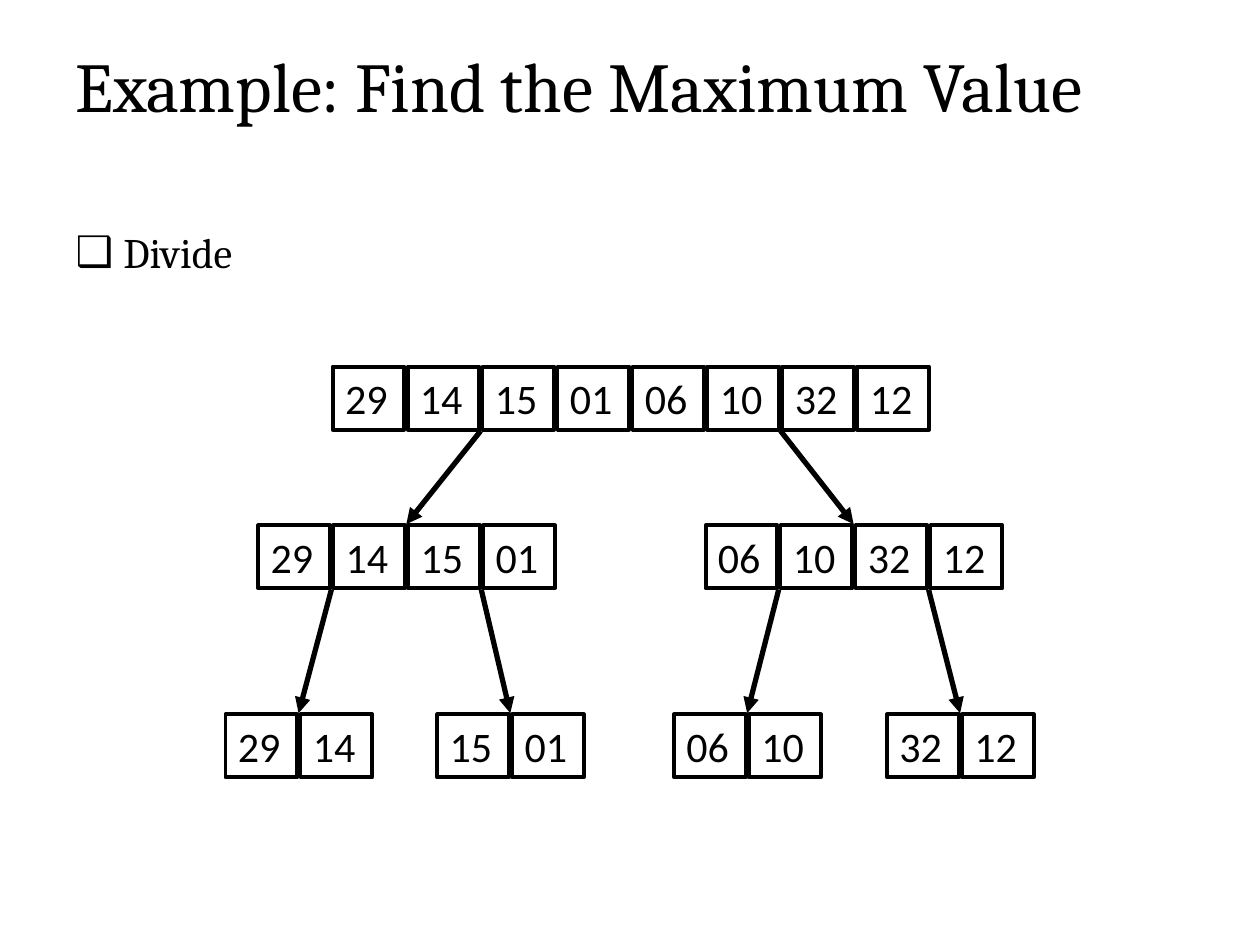
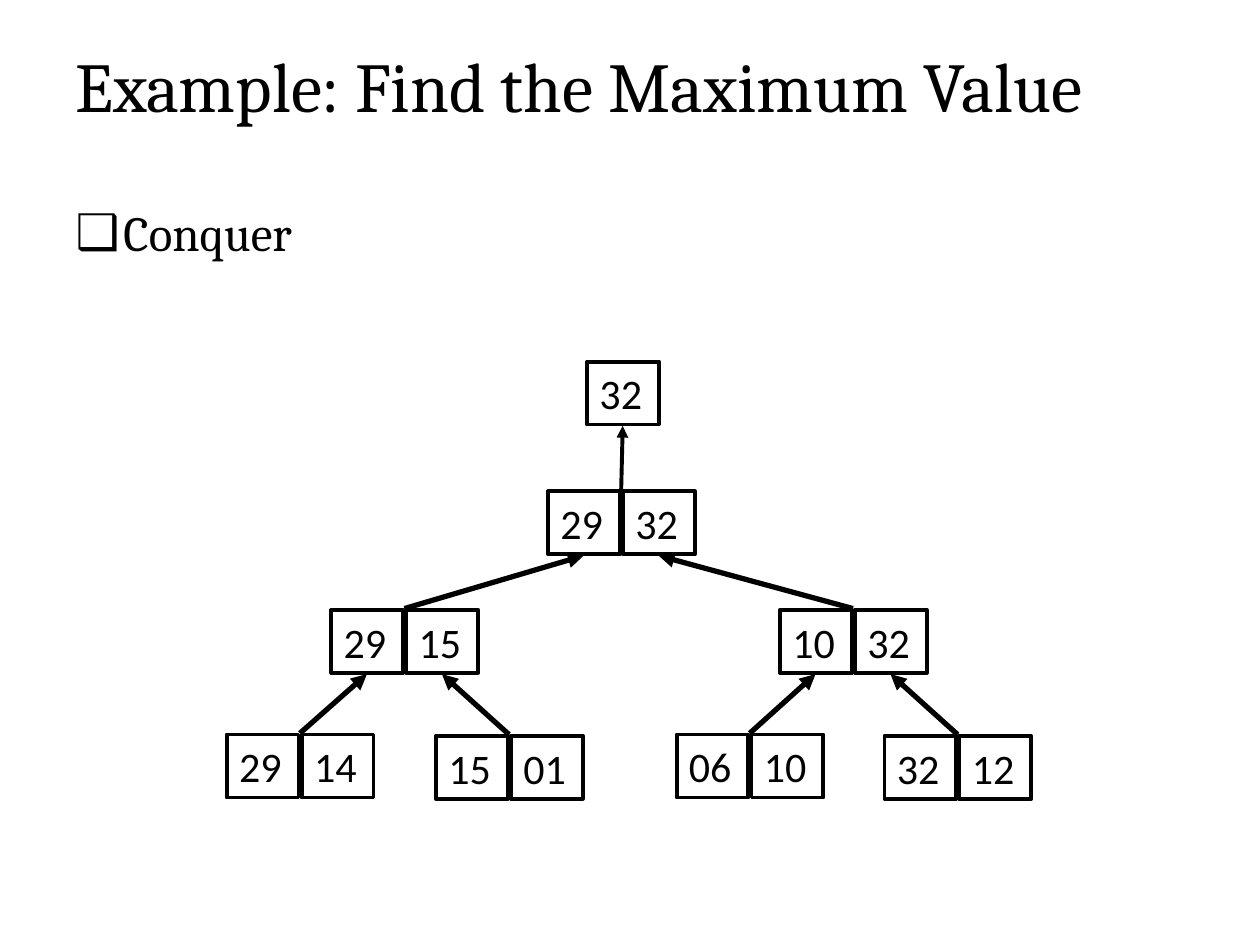
from lxml.etree import SubElement
from pptx import Presentation
from pptx.dml.color import RGBColor
from pptx.enum.shapes import MSO_CONNECTOR as Line, MSO_SHAPE as Shape
from pptx.enum.text import MSO_ANCHOR as Anchor, MSO_AUTO_SIZE as Fit, PP_ALIGN as Align
from pptx.oxml.ns import qn
from pptx.util import Inches, Pt

TITLE = "Example: Find the Maximum Value"
BLACK = "000000"
SERIF, SANS = "Cambria", "Calibri"
CELL, STEP, HIGH = 0.57, 0.595, 0.5

SLIDES = [
    {
        "topic": "Divide", "size": 24, "body": (0.5, 1.75, 8.95, 4.5), "up": False,
        "rows": [
            (2.64, 2.91, "29 14 15 01 06 10 32 12"),
            (2.05, 4.17, "29 14 15 01"),
            (5.6, 4.17, "06 10 32 12"),
            (1.79, 5.67, "29 14"),
            (3.47, 5.67, "15 01"),
            (5.35, 5.67, "06 10"),
            (7.04, 5.67, "32 12"),
        ],
        "links": [(0, 2, 1, 3), (0, 6, 2, 3), (1, 1, 3, 3),
                  (1, 3, 4, 3), (2, 1, 5, 3), (2, 3, 6, 3)],
    },
    {
        "topic": "Conquer", "size": 28, "body": (0.5, 1.56, 9, 5.14), "up": True,
        "rows": [
            (4.66, 2.87, "32"),
            (4.35, 3.9, "29 32"),
            (2.63, 4.84, "29 15"),
            (6.19, 4.84, "10 32"),
            (1.8, 5.83, "29 14"),
            (3.46, 5.84, "15 01"),
            (5.37, 5.83, "06 10"),
            (7.02, 5.84, "32 12"),
        ],
        "links": [(0, 0.5, 1, 2.25), (1, 0.5, 2, 3), (1, 1.5, 3, 3),
                  (2, 0.5, 4, 3), (2, 1.5, 5, 3), (3, 0.5, 6, 3), (3, 1.5, 7, 3)],
    },
]


def color(code):
    return RGBColor.from_string(code)


def place(shape, box):
    shape.left, shape.top, shape.width, shape.height = map(Inches, box)


def write(shape, text, size, font=SERIF, anchor=Anchor.MIDDLE, wrap=True,
          fit=Fit.NONE, bullet=None):
    frame = shape.text_frame
    frame.text = text
    frame.word_wrap, frame.auto_size = wrap, fit
    frame.vertical_anchor = anchor
    para = frame.paragraphs[0]
    para.alignment = Align.LEFT
    para.space_before = Pt(0)
    if bullet:
        props = para._p.get_or_add_pPr()
        props.set("marL", str(Inches(0.38)))
        props.set("indent", str(Inches(-0.38)))
        SubElement(props, qn("a:buChar"), char=bullet)
    para.font.name, para.font.size = font, Pt(size)
    para.font.color.rgb = color(BLACK)


def draw_row(slide, left, top, text):
    for i, num in enumerate(text.split()):
        box = slide.shapes.add_shape(
            Shape.RECTANGLE, *map(Inches, (left + i * STEP, top, CELL, HIGH)))
        box.shadow.inherit = False
        box.fill.background()
        box.line.color.rgb = color(BLACK)
        box.line.width = Pt(2.25)
        write(box, num, 24, SANS, wrap=False, fit=Fit.SHAPE_TO_FIT_TEXT)


def draw_link(slide, start, end, width):
    link = slide.shapes.add_connector(Line.STRAIGHT, *map(Inches, start + end))
    link.line.color.rgb = color(BLACK)
    link.line.width = Pt(width)
    SubElement(link.line._get_or_add_ln(), qn("a:tailEnd"), type="triangle")
    SubElement(link._element.spPr, qn("a:effectLst"))


def joint(row, cells):
    return row[0] + cells * STEP - 0.015


def build(deck, data):
    slide = deck.slides.add_slide(deck.slide_layouts[1])
    title, body = slide.placeholders
    place(title, (0.5, 0.3, 9, 0.74))
    write(title, TITLE, 40)
    place(body, data["body"])
    write(body, data["topic"], data["size"], anchor=Anchor.TOP, bullet="❑")
    rows = data["rows"]
    for row in rows:
        draw_row(slide, *row)
    for over, cells, under, width in data["links"]:
        high, low = rows[over], rows[under]
        mid = len(low[2].split()) / 2
        ends = [(joint(high, cells), high[1] + HIGH + 0.01),
                (joint(low, mid), low[1] - 0.01)]
        if data["up"]:
            ends.reverse()
        draw_link(slide, *ends, width)


def main():
    deck = Presentation()
    deck.slide_width, deck.slide_height = Inches(10), Inches(7.5)
    for data in SLIDES:
        build(deck, data)
    deck.save("out.pptx")


if __name__ == "__main__":
    main()
